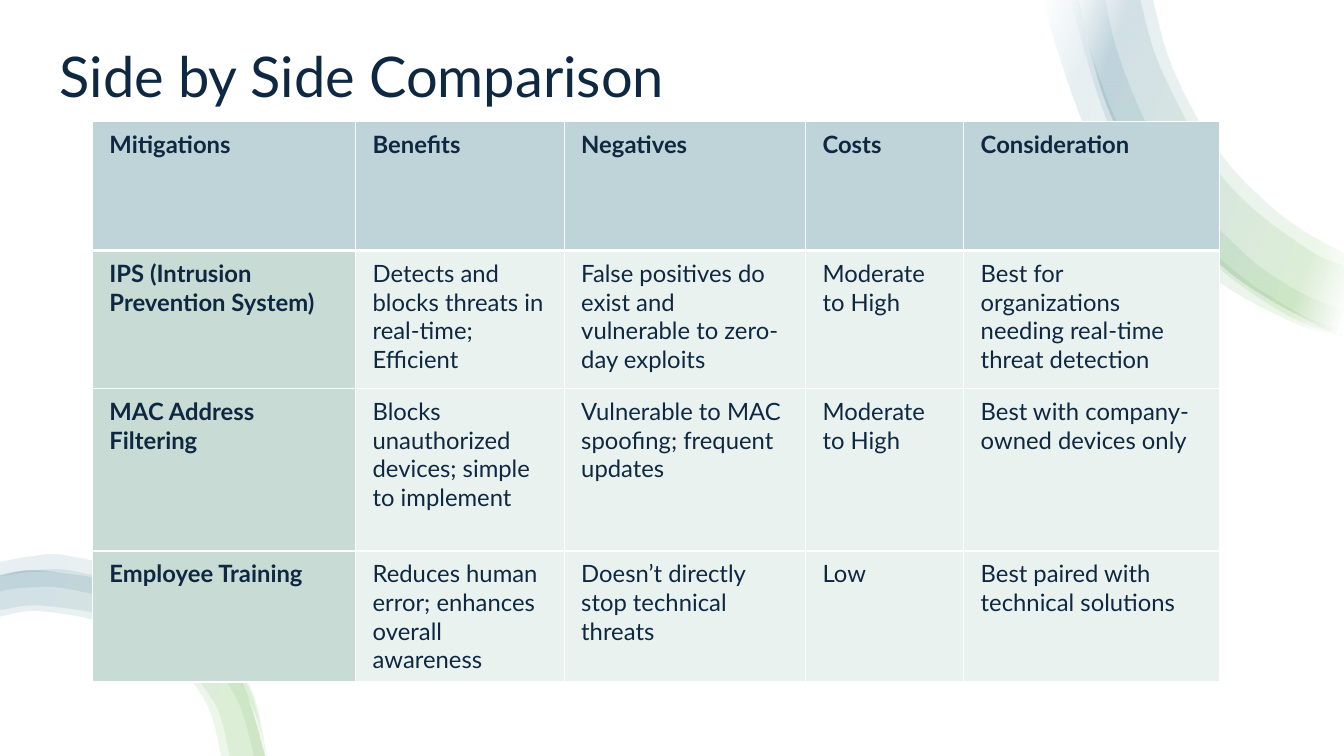
from lxml import etree
from pptx import Presentation
from pptx.dml import color
from pptx.enum import shapes, text
from pptx.oxml import ns
from pptx.util import Pt

NAVY, WHITE, GREEN, BLUE = "0E2841", "FFFFFF", "4EA72E", "156082"
HEADER, LABEL, BODY = "BED4D9", "C8DBD4", "EAF2F0"
FADING = [(2, WHITE), (16, GREEN), (85, BLUE), (100, WHITE)]
UNFADED = [(16, GREEN), (85, BLUE)]

TOP_EDGE = [(960, 239), (942, 233), (881, 197), (829, 144), (791, 77), (768, -6)]
BOTTOM_EDGE = [(189, 540), (170, 482), (133, 444), (84, 418), (29, 408), (0, 412)]
TOP_RIBBONS = [
    ([(960, 241), (923, 230), (879, 207), (839, 176), (804, 138), (776, 94), (750, 19), (746, -6)],
     [(769, -6), (779, 37), (796, 83), (821, 125), (850, 163), (886, 197), (926, 223), (960, 236)]),
    (TOP_EDGE,
     [(822, -6), (834, 40), (853, 81), (878, 118), (908, 148), (941, 171), (960, 181)]),
    ([(960, 240), (921, 226), (881, 200), (845, 168), (815, 129), (791, 86), (769, 14), (765, -6)],
     [(789, -6), (797, 32), (813, 75), (834, 116), (860, 152), (892, 184), (929, 209), (960, 222)]),
    (TOP_EDGE,
     [(813, -6), (826, 42), (847, 86), (871, 124), (903, 156), (937, 180), (960, 190)]),
]
BOTTOM_RIBBONS = [
    (BOTTOM_EDGE,
     [(0, 441), (29, 437), (77, 446), (120, 469), (148, 504), (158, 540)]),
    (BOTTOM_EDGE,
     [(0, 436), (29, 433), (78, 441), (122, 466), (153, 502), (164, 540)]),
    ([(189, 540), (178, 493), (146, 451), (102, 423), (50, 408), (22, 408), (0, 411)],
     [(0, 423), (24, 420), (48, 421), (96, 434), (138, 460), (168, 498), (181, 540)]),
    ([(190, 540), (180, 495), (151, 451), (107, 414), (51, 398), (22, 398), (0, 402)],
     [(0, 412), (23, 409), (50, 410), (88, 420), (123, 438), (162, 474), (181, 508), (189, 540)]),
]

COLUMN_WIDTHS = [188, 149, 172.4, 113, 183]
ROW_HEIGHTS = [92, 98.6, 116, 93.5]
COMPARISON = [
    ["Mitigations", "Benefits", "Negatives", "Costs", "Consideration"],
    ["IPS (Intrusion Prevention System)",
     "Detects and blocks threats in real-time; Efficient",
     "False positives do exist and vulnerable to zero-day exploits",
     "Moderate to High",
     "Best for organizations needing real-time threat detection"],
    ["MAC Address Filtering",
     "Blocks unauthorized devices; simple to implement",
     "Vulnerable to MAC spoofing; frequent updates",
     "Moderate to High",
     "Best with company-owned devices only"],
    ["Employee Training",
     "Reduces human error; enhances overall awareness",
     "Doesn’t directly stop technical threats",
     "Low",
     "Best paired with technical solutions"],
]


def rgb(value):
    """Turn a hex string into a colour."""
    return color.RGBColor.from_string(value)


def style(paragraph, size, bold=False):
    """Format every run of a paragraph."""
    for run in paragraph.runs:
        run.font.name = "Lato"
        run.font.size = Pt(size)
        run.font.bold = bold
        run.font.color.rgb = rgb(NAVY)


def curve_edges(outline, corner):
    """Bend the straight segments of an outline, except at the corner between its edges."""
    knots = [(int(pt.get("x")), int(pt.get("y"))) for pt in outline.iter(ns.qn("a:pt"))]
    segments = list(outline.iter(ns.qn("a:lnTo")))
    for first, last in ((0, corner - 1), (corner, len(knots) - 1)):
        for i in range(first, last):
            before, start = knots[max(i - 1, first)], knots[i]
            end, after = knots[i + 1], knots[min(i + 2, last)]
            leave = [s + (e - b) / 6 for b, s, e in zip(before, start, end)]
            arrive = [e - (a - s) / 6 for s, e, a in zip(start, end, after)]
            bend = etree.Element(ns.qn("a:cubicBezTo"))
            for x, y in (leave, arrive, end):
                etree.SubElement(bend, ns.qn("a:pt"), x=str(round(x)), y=str(round(y)))
            segments[i].getparent().replace(segments[i], bend)


def add_backdrop(slide, width, height):
    """Cover the slide with plain white."""
    backdrop = slide.shapes.add_shape(shapes.MSO_SHAPE.RECTANGLE, 0, 0, width, height)
    backdrop.shadow.inherit = False
    backdrop.fill.solid()
    backdrop.fill.fore_color.rgb = rgb(WHITE)
    backdrop.line.fill.background()


def add_ribbon(slide, outer, inner, blend):
    """Draw a translucent gradient band between two curved edges."""
    start, *rest = outer + inner
    builder = slide.shapes.build_freeform(*start, scale=Pt(1))
    builder.add_line_segments(rest, close=True)
    ribbon = builder.convert_to_shape()
    ribbon.shadow.inherit = False
    ribbon.line.fill.background()
    ribbon.fill.gradient()
    properties = ribbon.element.spPr
    curve_edges(properties.find(ns.qn("a:custGeom")), len(outer))
    gradient = properties.find(ns.qn("a:gradFill"))
    for child in list(gradient):
        gradient.remove(child)
    stops = etree.SubElement(gradient, ns.qn("a:gsLst"))
    for position, value in blend:
        stop = etree.SubElement(stops, ns.qn("a:gs"), pos=str(position * 1000))
        tint = etree.SubElement(stop, ns.qn("a:srgbClr"), val=value)
        stop.append(tint)
        etree.SubElement(tint, ns.qn("a:alpha"), val="10000")
    etree.SubElement(gradient, ns.qn("a:lin"), ang=str(200 * 60000), scaled="0")


def add_title(slide, wording):
    """Place the slide heading."""
    frame = slide.shapes.add_textbox(Pt(35.5), Pt(10), Pt(833), Pt(94)).text_frame
    frame.word_wrap = True
    frame.vertical_anchor = text.MSO_ANCHOR.MIDDLE
    frame.text = wording
    frame.paragraphs[0].line_spacing = 0.9
    style(frame.paragraphs[0], 40)


def set_borders(cell, top, bottom):
    """Give a cell white borders of the given top and bottom widths."""
    properties = cell._tc.get_or_add_tcPr()
    widths = {"a:lnL": 1, "a:lnR": 1, "a:lnT": top, "a:lnB": bottom}
    for index, (side, width) in enumerate(widths.items()):
        border = etree.Element(ns.qn(side), w=str(Pt(width)))
        paint = etree.SubElement(border, ns.qn("a:solidFill"))
        etree.SubElement(paint, ns.qn("a:srgbClr"), val=WHITE)
        properties.insert(index, border)


def add_comparison(slide):
    """Build the table of mitigations."""
    table = slide.shapes.add_table(
        len(ROW_HEIGHTS), len(COLUMN_WIDTHS), Pt(66), Pt(87),
        Pt(sum(COLUMN_WIDTHS)), Pt(sum(ROW_HEIGHTS))).table
    for column, width in zip(table.columns, COLUMN_WIDTHS):
        column.width = Pt(width)
    for r, (height, wordings) in enumerate(zip(ROW_HEIGHTS, COMPARISON)):
        table.rows[r].height = Pt(height)
        for c, wording in enumerate(wordings):
            cell = table.cell(r, c)
            cell.margin_left = cell.margin_right = Pt(12.2)
            cell.margin_top = cell.margin_bottom = Pt(6)
            cell.fill.solid()
            cell.fill.fore_color.rgb = rgb(HEADER if r == 0 else LABEL if c == 0 else BODY)
            set_borders(cell, 3 if r == 1 else 1, 3 if r == 0 else 1)
            cell.text_frame.text = wording
            style(cell.text_frame.paragraphs[0], 17, bold=r == 0 or c == 0)


def main():
    """Build and save the slide."""
    deck = Presentation()
    deck.slide_width, deck.slide_height = Pt(960), Pt(540)
    slide = deck.slides.add_slide(deck.slide_layouts[6])
    add_backdrop(slide, deck.slide_width, deck.slide_height)
    for ribbons, blend in ((TOP_RIBBONS, FADING), (BOTTOM_RIBBONS, UNFADED)):
        for outer, inner in ribbons:
            add_ribbon(slide, outer, inner, blend)
    add_title(slide, "Side by Side Comparison")
    add_comparison(slide)
    deck.save("out.pptx")


if __name__ == "__main__":
    main()
